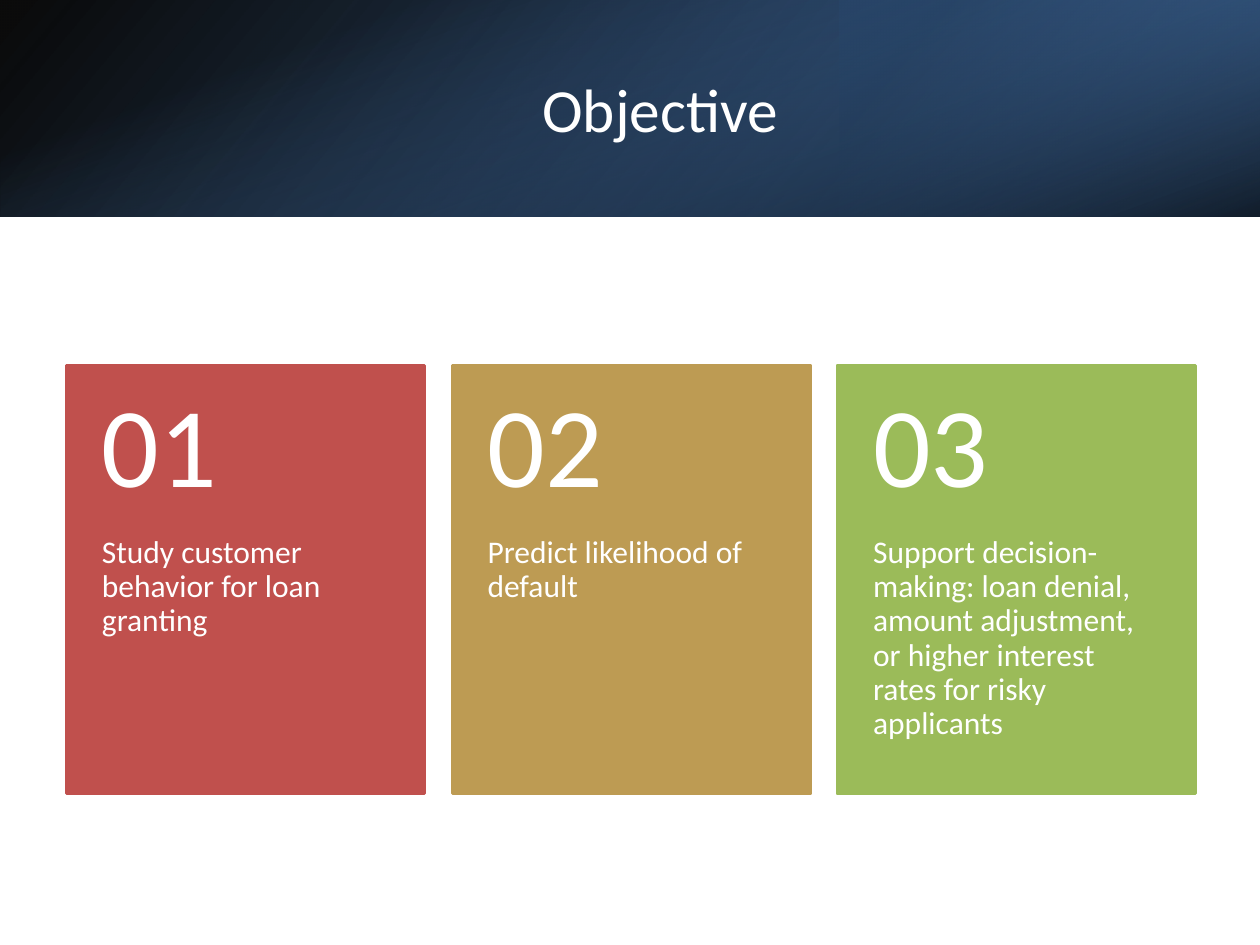
from lxml import etree
from pptx import Presentation
from pptx.dml.color import RGBColor
from pptx.enum.shapes import MSO_SHAPE
from pptx.enum.text import MSO_ANCHOR, MSO_AUTO_SIZE, PP_ALIGN
from pptx.oxml.ns import qn
from pptx.util import Inches, Pt

RECT = MSO_SHAPE.RECTANGLE
TOP, MIDDLE = MSO_ANCHOR.TOP, MSO_ANCHOR.MIDDLE
LEFT, CENTER = PP_ALIGN.LEFT, PP_ALIGN.CENTER
NO_FIT = MSO_AUTO_SIZE.NONE

WHITE = RGBColor(0xFF, 0xFF, 0xFF)
BLACK = RGBColor(0x00, 0x00, 0x00)
NAVY = RGBColor(0x25, 0x40, 0x61)
STEEL = RGBColor(0x37, 0x60, 0x92)
BLUE = RGBColor(0x4F, 0x81, 0xBD)
RED = RGBColor(0xC0, 0x50, 0x4D)
GOLD = RGBColor(0xBD, 0x9B, 0x53)
GREEN = RGBColor(0x9B, 0xBB, 0x59)

W, H = 10, 7.5
BAND_H = 1.72
CARD_X, CARD_Y, CARD_W, CARD_H = 0.53, 2.9, 2.84, 3.4
PITCH = 3.06
NUMBER_H = 0.4 * CARD_H
INSET = 0.28


def set_text(sp, text, size, anchor=TOP, align=LEFT, insets=None, spacing=None, after=0):
    tf = sp.text_frame
    tf.word_wrap = True
    tf.auto_size = NO_FIT
    tf.vertical_anchor = anchor
    if insets:
        tf.margin_left, tf.margin_top, tf.margin_right, tf.margin_bottom = map(Inches, insets)
    p = tf.paragraphs[0]
    p.alignment = align
    p.line_spacing = spacing
    p.space_after = Pt(after)
    r = p.add_run()
    r.text = text
    r.font.name = "Calibri"
    r.font.size = Pt(size)
    r.font.color.rgb = WHITE


def add_gradient(shapes, box, stops, angle, rotation=0, flip=False):
    sp = shapes.add_shape(RECT, *map(Inches, box))
    sp.shadow.inherit = False
    sp.line.fill.background()
    sp.rotation = rotation
    sp.fill.gradient()
    sp_pr = sp._element.spPr
    if flip:
        sp_pr.xfrm.set("flipH", "1")
    grad = sp_pr.find(qn("a:gradFill"))
    for child in list(grad):
        grad.remove(child)
    gs_list = etree.SubElement(grad, qn("a:gsLst"))
    for pos, color, alpha in stops:
        gs = etree.SubElement(gs_list, qn("a:gs"), pos=str(pos * 1000))
        clr = etree.SubElement(gs, qn("a:srgbClr"), val=str(color))
        etree.SubElement(clr, qn("a:alpha"), val=str(alpha * 1000))
    etree.SubElement(grad, qn("a:lin"), ang=str(angle * 60000), scaled="0")


prs = Presentation()
prs.slide_width, prs.slide_height = Inches(W), Inches(H)
s = prs.slides.add_slide(prs.slide_layouts[5])

add_gradient(s.shapes, (0, 0, W, BAND_H), [(0, BLACK, 96), (100, STEEL, 100)], 140, flip=True)
add_gradient(s.shapes, (W * 2 / 3, 0, W / 3, BAND_H), [(19, NAVY, 68), (100, BLUE, 79)], 320,
             rotation=180, flip=True)
add_gradient(s.shapes, ((W - BAND_H) / 2, (BAND_H - W) / 2, BAND_H, W),
             [(23, BLUE, 0), (99, BLACK, 74)], 340, rotation=90)

title = s.shapes.title
title.left, title.top, title.width, title.height = map(Inches, (1.12, 0.38, 8.24, 0.96))
set_text(title, "Objective", 35, anchor=MIDDLE, align=CENTER)
s.shapes._spTree.append(title._element)

cards = [
    ("Study customer behavior for loan granting", RED),
    ("Predict likelihood of default", GOLD),
    ("Support decision-making: loan denial, amount adjustment, "
     "or higher interest rates for risky applicants", GREEN),
]
group = s.shapes.add_group_shape()
for i, (text, color) in enumerate(cards):
    x = CARD_X + i * PITCH
    card = group.shapes.add_shape(RECT, *map(Inches, (x, CARD_Y, CARD_W, CARD_H)))
    card.shadow.inherit = False
    card.fill.solid()
    card.fill.fore_color.rgb = color
    card.line.color.rgb = color
    card.line.width = Pt(2)

    body = group.shapes.add_textbox(
        *map(Inches, (x, CARD_Y + NUMBER_H, CARD_W, CARD_H - NUMBER_H)))
    set_text(body, text, 18, insets=(INSET, 0, INSET, 0.36), spacing=0.9, after=6)

    number = group.shapes.add_textbox(*map(Inches, (x, CARD_Y, CARD_W, NUMBER_H)))
    set_text(number, f"{i + 1:02d}", 65, anchor=MIDDLE,
             insets=(INSET, 0.18, INSET, 0.18), spacing=0.9, after=23)

prs.save("out.pptx")
